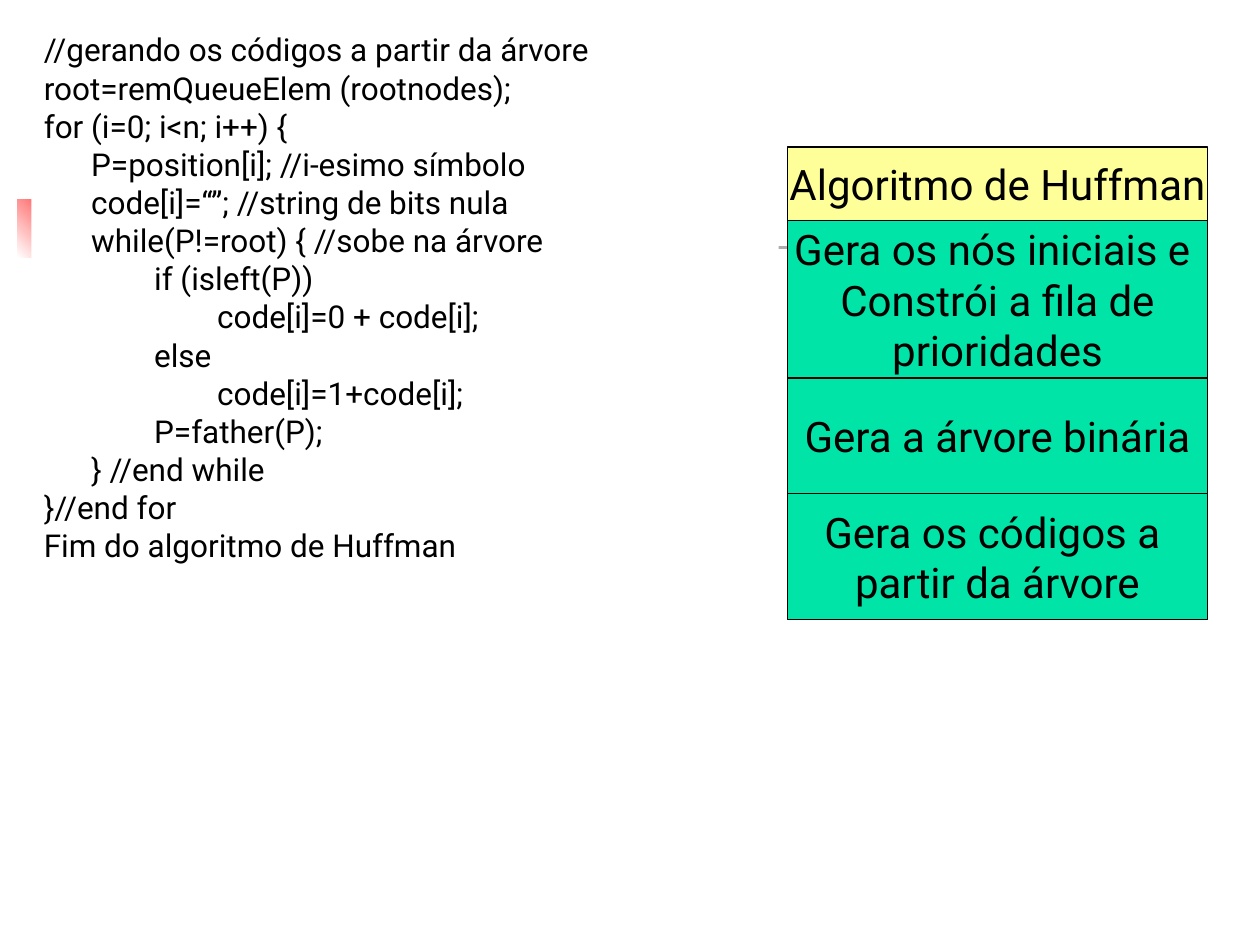
from dataclasses import dataclass

from lxml import etree
from pptx import Presentation
from pptx.dml.color import RGBColor
from pptx.enum.shapes import MSO_SHAPE
from pptx.enum.text import MSO_ANCHOR, PP_ALIGN
from pptx.oxml.ns import qn
from pptx.shapes.autoshape import Shape
from pptx.slide import Slide
from pptx.util import Pt

RECT = MSO_SHAPE.RECTANGLE
TOP, MID = MSO_ANCHOR.TOP, MSO_ANCHOR.MIDDLE
LEFT, MIDST = PP_ALIGN.LEFT, PP_ALIGN.CENTER
FONT = "Roboto"
HUES = {
    "ink": "000000",
    "white": "FFFFFF",
    "red": "FF0000",
    "dark": "1C1C1C",
    "green": "00E4A8",
    "cream": "FFFF99",
}


@dataclass
class Box:
    left: float
    top: float
    width: float
    height: float


@dataclass
class Blend:
    box: Box
    start: str
    end: str
    angle: float


@dataclass
class Step:
    lines: list[str]
    height: float
    fill: str


BLENDS = [
    Blend(Box(10, 114, 44, 33), "white", "red", 45),
    Blend(Box(34.5, 140.4, 648, 2.2), "dark", "white", 0),
]
CODE = [
    "//gerando os códigos a partir da árvore",
    "root=remQueueElem (rootnodes);",
    "for (i=0; i<n; i++) {",
    "\tP=position[i]; //i-esimo símbolo",
    "\tcode[i]=“”; //string de bits nula",
    "\twhile(P!=root) { //sobe na árvore",
    "\t\tif (isleft(P))",
    "\t\t\tcode[i]=0 + code[i];",
    "\t\telse",
    "\t\t\tcode[i]=1+code[i];",
    "\t\tP=father(P);",
    "\t} //end while",
    "}//end for",
    "Fim do algoritmo de Huffman",
]
STEPS = [
    Step(["Algoritmo de Huffman"], 42, "cream"),
    Step(["Gera os nós iniciais e ", "Constrói a fila de", "prioridades"], 90, "green"),
    Step(["Gera a árvore binária"], 66, "green"),
    Step(["Gera os códigos a ", "partir da árvore"], 72, "green"),
]


def hue(name: str) -> RGBColor:
    return RGBColor.from_string(HUES[name])


def add_rect(slide: Slide, box: Box, fill: str = "", line: str = "") -> Shape:
    shape = slide.shapes.add_shape(
        RECT, Pt(box.left), Pt(box.top), Pt(box.width), Pt(box.height)
    )
    shape.shadow.inherit = False
    if fill:
        shape.fill.solid()
        shape.fill.fore_color.rgb = hue(fill)
    if line:
        shape.line.color.rgb = hue(line)
        shape.line.width = Pt(0.75)
    else:
        shape.line.fill.background()
    return shape


def add_blend(slide: Slide, blend: Blend) -> None:
    shape = add_rect(slide, blend.box)
    shape.fill.gradient()
    shape.fill.gradient_angle = blend.angle
    for stop, name in zip(shape.fill.gradient_stops, (blend.start, blend.end)):
        stop.color.rgb = hue(name)


def write(
    shape: Shape,
    lines: list[str],
    size: float,
    align: PP_ALIGN = MIDST,
    anchor: MSO_ANCHOR = MID,
    wrap: bool = False,
    space: float = 1,
    gap: float = 0,
    hang: float = 0,
    tabs: int = 0,
) -> None:
    frame = shape.text_frame
    frame.word_wrap = wrap
    frame.vertical_anchor = anchor
    for i, line in enumerate(lines):
        para = frame.add_paragraph() if i else frame.paragraphs[0]
        para.alignment = align
        para.line_spacing = space
        para.space_before = Pt(gap)
        props = para._p.get_or_add_pPr()
        if hang:
            props.set("marL", str(Pt(hang)))
            props.set("indent", str(-Pt(hang)))
        if tabs:
            stops = etree.SubElement(props, qn("a:tabLst"))
            for n in range(tabs):
                etree.SubElement(stops, qn("a:tab"), pos=str(Pt(72 * n)), algn="l")
        run = para.add_run()
        run.text = line
        run.font.size = Pt(size)
        run.font.name = FONT
        run.font.color.rgb = hue("ink")


def add_steps(slide: Slide, left: float, top: float, width: float) -> None:
    for step in STEPS:
        box = Box(left, top, width, step.height)
        write(add_rect(slide, box, step.fill, "ink"), step.lines, 24)
        top += step.height


def main() -> None:
    deck = Presentation()
    deck.slide_width, deck.slide_height = Pt(720), Pt(540)
    slide = deck.slides.add_slide(deck.slide_layouts[6])
    for blend in BLENDS:
        add_blend(slide, blend)
    panel = add_rect(slide, Box(18, 18, 427, 324), "white")
    write(panel, CODE, 18, align=LEFT, anchor=TOP, wrap=True,
          space=0.8, gap=4.5, hang=27, tabs=8)
    add_steps(slide, 450, 84, 240)
    deck.save("out.pptx")


if __name__ == "__main__":
    main()
